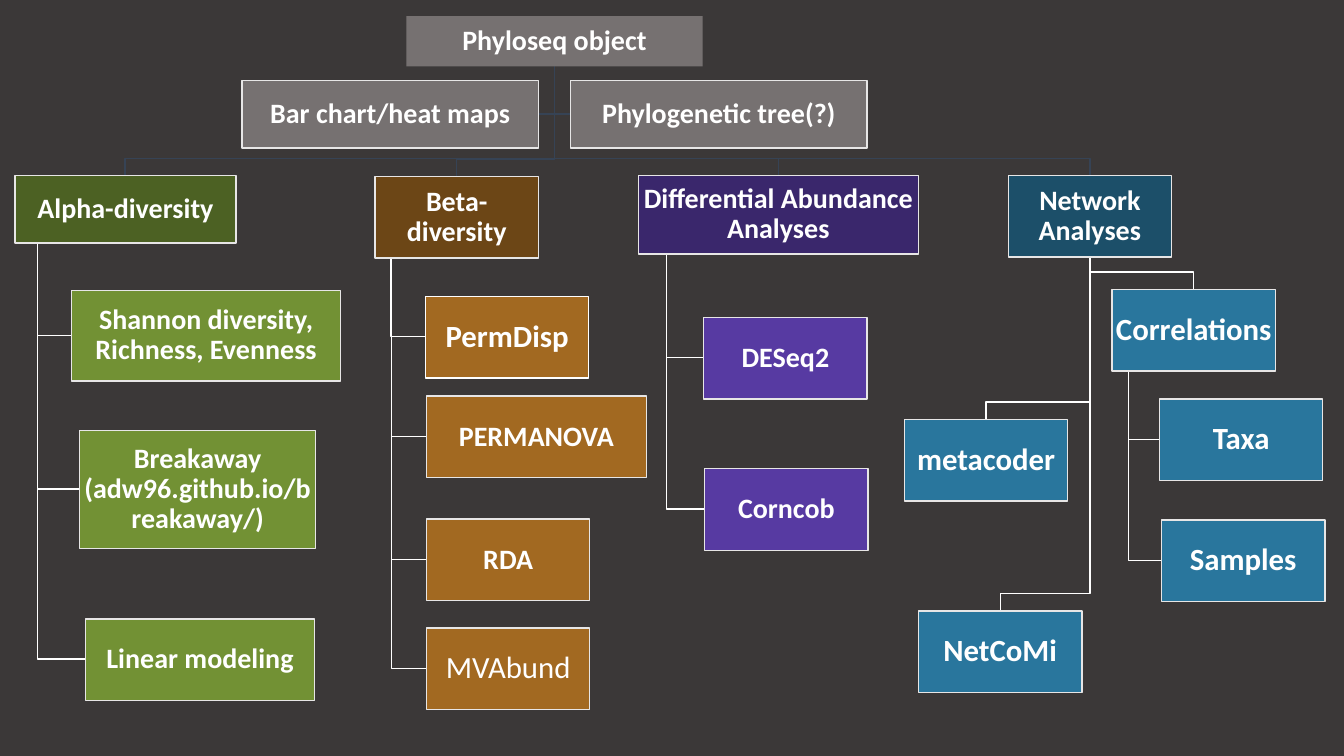
from dataclasses import dataclass
from typing import Any, Optional

from pptx import Presentation
from pptx.dml.color import RGBColor as Rgb
from pptx.enum.shapes import MSO_SHAPE as Preset
from pptx.enum.text import MSO_ANCHOR as Anchor, PP_ALIGN as Align
from pptx.util import Pt

PX = 9144
WHITE, PALE, NAVY = "FFFFFF", "E7E6E6", "364355"
GREY = "767171"
DARK_GREEN, GREEN = "4C6123", "729134"
DARK_BROWN, BROWN = "6C4616", "A26921"
DARK_PURPLE, PURPLE = "3A276C", "573AA2"
DARK_BLUE, BLUE = "1C4F69", "29769D"


@dataclass(frozen=True)
class Node:
    text: str
    left: int
    top: int
    width: int
    height: int
    fill: str
    parent: str = ""
    entry: str = "side"
    size: int = 20
    bold: bool = True
    border: Optional[str] = PALE

    @property
    def center(self) -> int:
        return self.left + self.width // 2

    @property
    def middle(self) -> int:
        return self.top + self.height // 2

    @property
    def bottom(self) -> int:
        return self.top + self.height


ROOT = "Phyloseq object"
ALPHA = "Alpha-diversity"
BETA = "Beta-diversity"
ABUNDANCE = "Differential Abundance Analyses"
NETWORK = "Network Analyses"
CORRELATIONS = "Correlations"

NODES = [
    Node(ROOT, 403, 16, 294, 50, GREY, border=None),
    Node("Bar chart/heat maps", 240, 80, 294, 67, GREY, ROOT, "assistant"),
    Node("Phylogenetic tree(?)", 566, 80, 294, 67, GREY, ROOT, "assistant"),
    Node(ALPHA, 15, 174, 219, 67, DARK_GREEN, ROOT, "top"),
    Node("Shannon diversity, Richness, Evenness", 71, 288, 267, 90, GREEN, ALPHA),
    Node("Breakaway (adw96.github.io/breakaway/)", 79, 427, 234, 117, GREEN, ALPHA),
    Node("Linear modeling", 85, 614, 227, 81, GREEN, ALPHA),
    Node(BETA, 372, 175, 162, 81, DARK_BROWN, ROOT, "top"),
    Node("PermDisp", 422, 294, 162, 81, BROWN, BETA, size=22, border=WHITE),
    Node("PERMANOVA", 423, 393, 218, 81, BROWN, BETA),
    Node("RDA", 423, 515, 162, 81, BROWN, BETA),
    Node("MVAbund", 423, 623, 162, 81, BROWN, BETA, size=22, bold=False),
    Node(ABUNDANCE, 633, 174, 278, 78, DARK_PURPLE, ROOT, "top"),
    Node("DESeq2", 698, 315, 162, 81, PURPLE, ABUNDANCE),
    Node("Corncob", 699, 465, 162, 81, PURPLE, ABUNDANCE),
    Node(NETWORK, 1000, 174, 162, 81, DARK_BLUE, ROOT, "top"),
    Node("metacoder", 897, 416, 162, 81, BLUE, NETWORK, "top", 22),
    Node("NetCoMi", 911, 606, 162, 81, BLUE, NETWORK, "top", 22),
    Node(CORRELATIONS, 1103, 287, 162, 81, BLUE, NETWORK, "top", 22),
    Node("Taxa", 1150, 396, 162, 81, BLUE, CORRELATIONS, size=22),
    Node("Samples", 1152, 516, 162, 81, BLUE, CORRELATIONS, size=22),
]


def color(value: str) -> Rgb:
    return Rgb.from_string(value)


def apply(target: Any, values: dict[str, Any]) -> None:
    for name, value in values.items():
        setattr(target, name, value)


def set_line(shape: Any, value: str) -> None:
    shape.line.color.rgb = color(value)
    shape.line.width = Pt(1)


def branch_points(parent: Node, child: Node) -> list[tuple[int, int]]:
    if child.entry == "top":
        turn = child.top - 17
        return [(parent.center, parent.bottom), (parent.center, turn),
                (child.center, turn), (child.center, child.top)]
    trunk = parent.center
    if child.entry == "side":
        trunk = parent.left + round(parent.width / 10)
    edge = child.left if child.left > trunk else child.left + child.width
    return [(trunk, parent.bottom), (trunk, child.middle), (edge, child.middle)]


def draw_branch(slide: Any, parent: Node, child: Node) -> None:
    start, *rest = branch_points(parent, child)
    builder = slide.shapes.build_freeform(*start, scale=PX)
    builder.add_line_segments(rest, close=False)
    shape = builder.convert_to_shape()
    shape.shadow.inherit = False
    shape.fill.background()
    set_line(shape, WHITE if parent.parent else NAVY)


def draw_node(slide: Any, node: Node) -> None:
    bounds = (node.left, node.top, node.width, node.height)
    shape = slide.shapes.add_shape(Preset.RECTANGLE, *(value * PX for value in bounds))
    shape.shadow.inherit = False
    shape.fill.solid()
    shape.fill.fore_color.rgb = color(node.fill)
    if node.border:
        set_line(shape, node.border)
    else:
        shape.line.fill.background()
    margin = (2 if node.size > 20 else 1) * PX
    frame = shape.text_frame
    apply(frame, {"word_wrap": True, "vertical_anchor": Anchor.MIDDLE,
                  "margin_left": margin, "margin_right": margin,
                  "margin_top": margin, "margin_bottom": margin})
    paragraph = frame.paragraphs[0]
    apply(paragraph, {"alignment": Align.CENTER, "line_spacing": 0.9})
    run = paragraph.add_run()
    run.text = node.text
    apply(run.font, {"name": "Calibri", "size": Pt(node.size), "bold": node.bold})
    run.font.color.rgb = color(WHITE)


def main() -> None:
    presentation = Presentation()
    apply(presentation, {"slide_width": 1333 * PX, "slide_height": 750 * PX})
    slide = presentation.slides.add_slide(presentation.slide_layouts[6])
    slide.background.fill.solid()
    slide.background.fill.fore_color.rgb = color("3B3838")
    by_text = {node.text: node for node in NODES}
    for node in NODES:
        if node.parent:
            draw_branch(slide, by_text[node.parent], node)
    for node in NODES:
        draw_node(slide, node)
    presentation.save("out.pptx")


if __name__ == "__main__":
    main()
